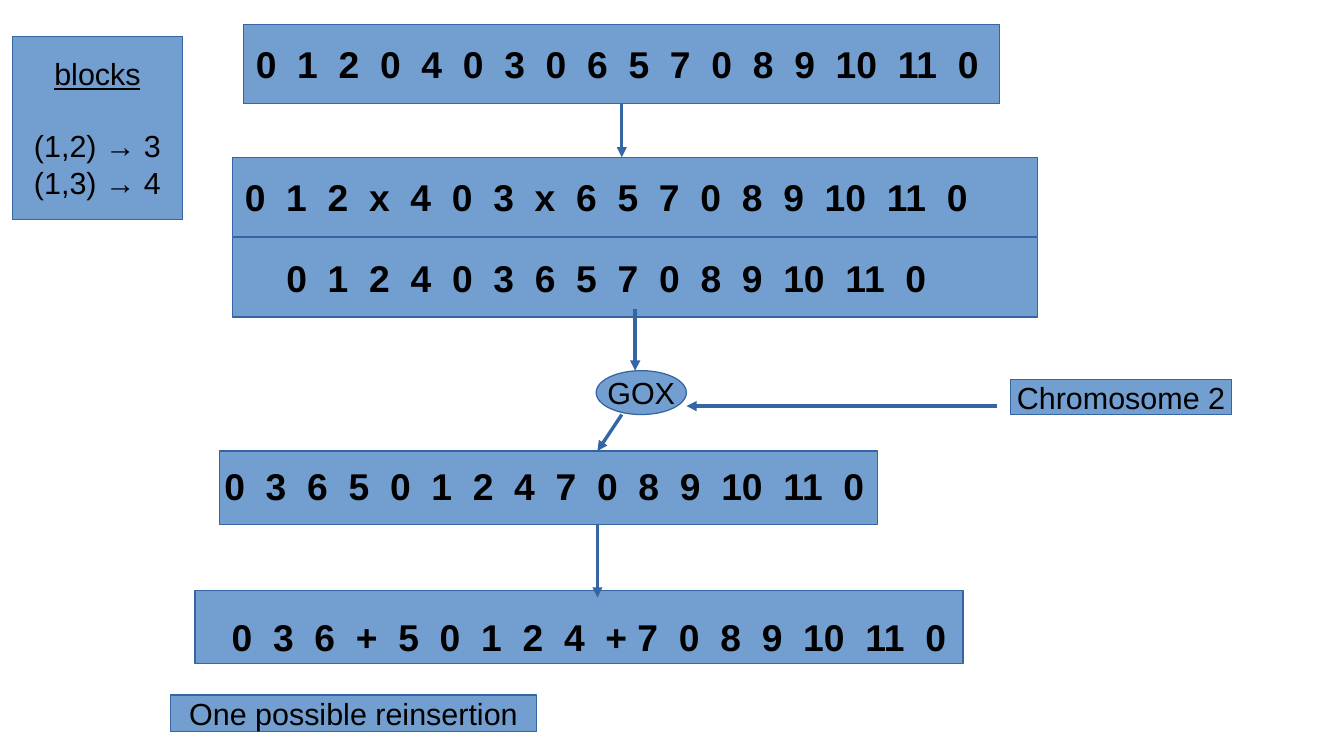
import pptx
import pptx.util
import pptx.dml.color
import pptx.enum.shapes
import pptx.enum.text
import pptx.oxml.ns
import lxml.etree

Pt = pptx.util.Pt
qn = pptx.oxml.ns.qn
shapes = pptx.enum.shapes.MSO_SHAPE
align = pptx.enum.text.PP_ALIGN
colours = {"fill": "729FCF", "line": "3465A4", "text": "000000"}
rgb = {name: pptx.dml.color.RGBColor.from_string(value) for name, value in colours.items()}

deck = pptx.Presentation()
deck.slide_width = Pt(793.7)
deck.slide_height = Pt(446.4)
page = deck.slides.add_slide(deck.slide_layouts[6])


def add_box(text, place, kind=shapes.RECTANGLE, size=18, bold=False, alignment=align.CENTER,
            wrap=False, insets=(7.2, 3.6, 7.2, 3.6), tabs=()):
    box = page.shapes.add_shape(kind, *[Pt(value) for value in place])
    box.shadow.inherit = False
    box.fill.solid()
    box.fill.fore_color.rgb = rgb["fill"]
    box.line.color.rgb = rgb["line"]
    box.line.width = Pt(0)
    frame = box.text_frame
    frame.word_wrap = wrap
    frame.vertical_anchor = pptx.enum.text.MSO_ANCHOR.MIDDLE
    frame.margin_left, frame.margin_top, frame.margin_right, frame.margin_bottom = map(Pt, insets)
    for index, line in enumerate(text.split("\n")):
        para = frame.paragraphs[0] if index == 0 else frame.add_paragraph()
        para.alignment = alignment
        if tabs:
            tab_list = lxml.etree.SubElement(para._p.get_or_add_pPr(), qn("a:tabLst"))
            for stop in tabs:
                lxml.etree.SubElement(tab_list, qn("a:tab"), pos=str(int(Pt(stop))), algn="l")
        span = para.add_run()
        span.text = line
        span.font.name = "Arial"
        span.font.size = Pt(size)
        span.font.bold = bold
        span.font.color.rgb = rgb["text"]
    return box


digit = 12.23
widths = {"+": 12.85, "+ 7": 31.2, "10": 24.47, "11": 23.2}
routes = [
    ("0,1,2,0,4,0,3,0,6,5,7,0,8,9,10,11,0", (144, 14.4, 446.4, 46.8), (7.2, 3.6, 0, 3.6)),
    ("0,1,2,x,4,0,3,x,6,5,7,0,8,9,10,11,0", (137.5, 92.9, 475.2, 46.8), (7.2, 3.6, 0, 3.6)),
    ("0,1,2,4,0,3,6,5,7,0,8,9,10,11,0", (137.5, 140.4, 475.2, 46.8), (31.6, 3.6, 0, 3.6)),
    ("0,3,6,5,0,1,2,4,7,0,8,9,10,11,0", (129.6, 266.4, 388.8, 43.2), (2.9, 0, 0, 2.4)),
    ("0,3,6,+,5,0,1,2,4,+ 7,0,8,9,10,11,0", (115.2, 348.5, 453.6, 43.2), (21.6, 11.8, 0, 0)),
]
route_boxes = []
for genes, place, insets in routes:
    items = genes.split(",")
    stops = []
    position = 0
    for item in items[:-1]:
        position += widths.get(item, digit) + digit
        stops.append(position)
    route_boxes.append(add_box("\t".join(items), place, size=22, bold=True,
                               alignment=align.LEFT, wrap=True, insets=insets, tabs=stops))

add_box("Chromosome 2", (596.9, 223.9, 130.3, 20.9))
add_box("GOX", (352.1, 218.9, 53.3, 25.9), kind=shapes.OVAL)
add_box("One possible reinsertion", (100.8, 410.4, 216, 21.6))
blocks = add_box("blocks\n(1,2) → 3\n(1,3) → 4", (7.2, 21.6, 100.8, 108))
heading, first_block = blocks.text_frame.paragraphs[:2]
heading.runs[0].font.underline = True
first_block.space_before = Pt(21)

arrows = []
for ends in [
    (367.2, 61.2, 367.2, 92.9),
    (375.1, 182.2, 375.1, 218.9),
    (589, 239.8, 405.4, 239.8),
    (367.2, 244.8, 352.8, 266.4),
    (352.8, 309.6, 352.8, 352.8),
]:
    arrow = page.shapes.add_connector(pptx.enum.shapes.MSO_CONNECTOR.STRAIGHT, *map(Pt, ends))
    arrow.line.color.rgb = rgb["line"]
    arrow.line.width = Pt(0)
    lxml.etree.SubElement(arrow.line._get_or_add_ln(), qn("a:tailEnd"), type="triangle")
    lxml.etree.SubElement(arrow._element.spPr, qn("a:effectLst"))
    arrows.append(arrow)
arrows[0].begin_connect(route_boxes[0], 2)

deck.save("out.pptx")
